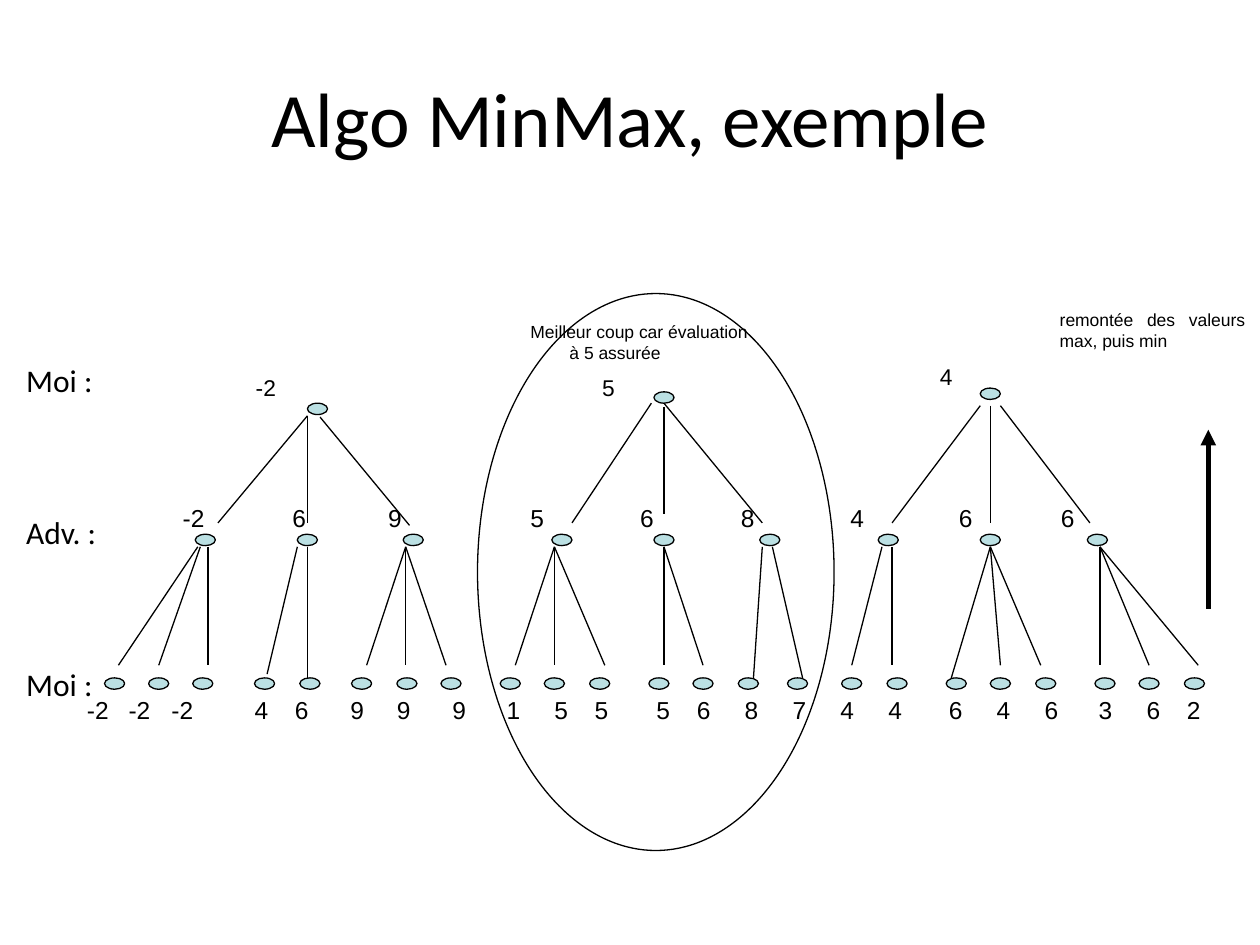
from lxml.etree import SubElement as Sub
from pptx import Presentation
from pptx.dml.color import RGBColor as Rgb
from pptx.enum.shapes import MSO_CONNECTOR as Conn, MSO_SHAPE as Kind
from pptx.enum.text import MSO_ANCHOR as Anchor, PP_ALIGN as Align
from pptx.oxml.ns import qn
from pptx.util import Inches as In, Pt

INK = {"text": "000000", "line": "000000", "node": "BBE0E3"}
TITLE = "Algo MinMax, exemple"
TURNS = ["Moi :", "Adv. :", "Moi :"]
BEST = ["Meilleur coup car évaluation", "à 5 assurée"]
RISE = ["remontée des valeurs max, puis min"]

# Moves: node x, node y, value, box x, box y
MOVES = [
    (2.44, 3.20, "-2", 1.96, 2.94),
    (5.19, 3.11, "5", 4.71, 2.94),
    (7.78, 3.08, "4", 7.39, 2.85),
]
# Branches from moves to replies: from x, y, to x, y
BRANCHES = [
    (2.44, 3.30, 1.73, 4.15), (2.44, 3.30, 2.44, 4.15), (2.54, 3.31, 3.25, 4.17),
    (5.17, 3.20, 4.54, 4.15), (5.27, 3.23, 5.27, 4.08), (5.27, 3.20, 6.05, 4.15),
    (7.78, 3.22, 7.08, 4.15), (7.86, 3.22, 7.86, 4.15), (7.94, 3.22, 8.65, 4.15),
]
SHORT, LONG = 5.28, 5.38
# Replies: node x, value, value x, leaves
# Leaves: node x, value, value x, branch top x, branch foot x, foot y
REPLIES = [
    (1.55, "-2", 1.45, [(0.83, "-2", 0.69, 1.57, 0.94, SHORT),
                        (1.18, "-2", 1.02, 1.59, 1.26, SHORT),
                        (1.53, "-2", 1.36, 1.65, 1.65, SHORT)]),
    (2.36, "6", 2.32, [(2.02, "4", 2.02, 2.36, 2.12, 5.35),
                       (2.38, "6", 2.34, 2.44, 2.44, LONG)]),
    (3.20, "9", 3.08, [(2.79, "9", 2.78, 3.22, 2.91, SHORT),
                       (3.15, "9", 3.15, 3.22, 3.22, SHORT),
                       (3.50, "9", 3.59, 3.22, 3.54, SHORT)]),
    (4.38, "5", 4.21, [(3.97, "1", 4.02, 4.40, 4.09, SHORT),
                       (4.32, "5", 4.40, 4.40, 4.40, SHORT),
                       (4.68, "5", 4.72, 4.40, 4.80, SHORT)]),
    (5.19, "6", 5.08, [(5.15, "5", 5.21, 5.27, 5.27, SHORT),
                       (5.50, "6", 5.53, 5.27, 5.58, SHORT)]),
    (6.03, "8", 5.88, [(5.86, "8", 5.91, 6.05, 5.98, LONG),
                       (6.25, "7", 6.29, 6.13, 6.37, LONG)]),
    (6.97, "4", 6.75, [(6.68, "4", 6.67, 7.00, 6.76, SHORT),
                       (7.04, "4", 7.05, 7.08, 7.08, SHORT)]),
    (7.78, "6", 7.61, [(7.51, "6", 7.53, 7.86, 7.55, LONG),
                       (7.86, "4", 7.91, 7.86, 7.94, SHORT),
                       (8.22, "6", 8.29, 7.86, 8.26, SHORT)]),
    (8.63, "6", 8.42, [(8.69, "3", 8.72, 8.73, 8.73, SHORT),
                       (9.04, "6", 9.10, 8.73, 9.12, SHORT),
                       (9.40, "2", 9.42, 8.73, 9.51, SHORT)]),
]
REPLY_Y, LEAF_Y, TOP_Y = 4.24, 5.38, 4.34
NODE_W, NODE_H = 0.16, 0.09
PAD_X, PAD_Y = 0.07, 0.03

deck = Presentation()
deck.slide_width, deck.slide_height = In(10), In(7.5)
page = deck.slides.add_slide(deck.slide_layouts[6])


def write(box, lines, size, font="Arial", align=Align.JUSTIFY, pad=(PAD_X, PAD_Y)):
    """Add a wrapped text box and return its frame."""
    frame = page.shapes.add_textbox(*map(In, box)).text_frame
    frame.word_wrap = True
    frame.margin_left = frame.margin_right = In(pad[0])
    frame.margin_top = frame.margin_bottom = In(pad[1])
    frame.text = "\n".join(lines)
    for para in frame.paragraphs:
        para.alignment = align
        for run in para.runs:
            run.font.size, run.font.name = Pt(size), font
            run.font.color.rgb = Rgb.from_string(INK["text"])
    return frame


def row(box, items):
    """Write values on one line, each at its own tab stop."""
    frame = write(box, ["\t".join(val for val, x in items)], 14)
    stops = Sub(frame.paragraphs[0]._p.get_or_add_pPr(), qn("a:tabLst"))
    for val, x in items[1:]:
        Sub(stops, qn("a:tab"), pos=str(In(x - box[0] - PAD_X)), algn="l")


def oval(x, y, wide=NODE_W, high=NODE_H, fill=INK["node"]):
    """Draw an outlined ellipse, hollow when fill is None."""
    shape = page.shapes.add_shape(Kind.OVAL, In(x), In(y), In(wide), In(high))
    shape.shadow.inherit = False
    if fill:
        shape.fill.solid()
        shape.fill.fore_color.rgb = Rgb.from_string(fill)
    else:
        shape.fill.background()
    shape.line.color.rgb = Rgb.from_string(INK["line"])
    shape.line.width = Pt(0.75)


def link(x1, y1, x2, y2, width=0.75, arrow=False):
    """Draw a straight line, with an arrowhead at its end if asked."""
    line = page.shapes.add_connector(Conn.STRAIGHT, In(x1), In(y1), In(x2), In(y2))
    line.line.color.rgb = Rgb.from_string(INK["line"])
    line.line.width = Pt(width)
    if arrow:
        Sub(line.line._get_or_add_ln(), qn("a:tailEnd"), type="triangle")
    Sub(line._element.spPr, qn("a:effectLst"))


title = write((0.5, 0.3, 9, 1.25), [TITLE], 44, "Calibri", Align.CENTER, (0.1, 0.05))
title.vertical_anchor = Anchor.MIDDLE

for x, y, *rest in MOVES:
    oval(x, y)
for branch in BRANCHES:
    link(*branch)
leaves = [leaf for reply in REPLIES for leaf in reply[3]]
for reply in REPLIES:
    oval(reply[0], REPLY_Y)
for x, val, spot, top, foot, end in leaves:
    oval(x, LEAF_Y)
    link(top, TOP_Y, foot, end)

row((0.62, 5.49, 9.52, 0.44), [leaf[1:3] for leaf in leaves])
row((1.38, 3.96, 8.73, 0.44), [reply[1:3] for reply in REPLIES])
link(9.59, 4.83, 9.59, 3.41, 3, True)
for *node, val, x, y in MOVES:
    write((x, y, 0.47, 0.52), [val], 13)

best = write((4.14, 2.52, 3.3, 0.92), BEST, 10)
best.paragraphs[1]._p.get_or_add_pPr().set("marL", str(In(0.31)))
oval(3.79, 2.33, 2.83, 4.42, None)
write((8.34, 2.42, 1.61, 1.21), RISE, 10)

turns = write((0.11, 2.82, 1.14, 2.83), TURNS, 18, "Calibri", Align.LEFT, (0.1, 0.05))
for para in turns.paragraphs[1:]:
    para.space_before = Pt(65)

deck.save("out.pptx")
